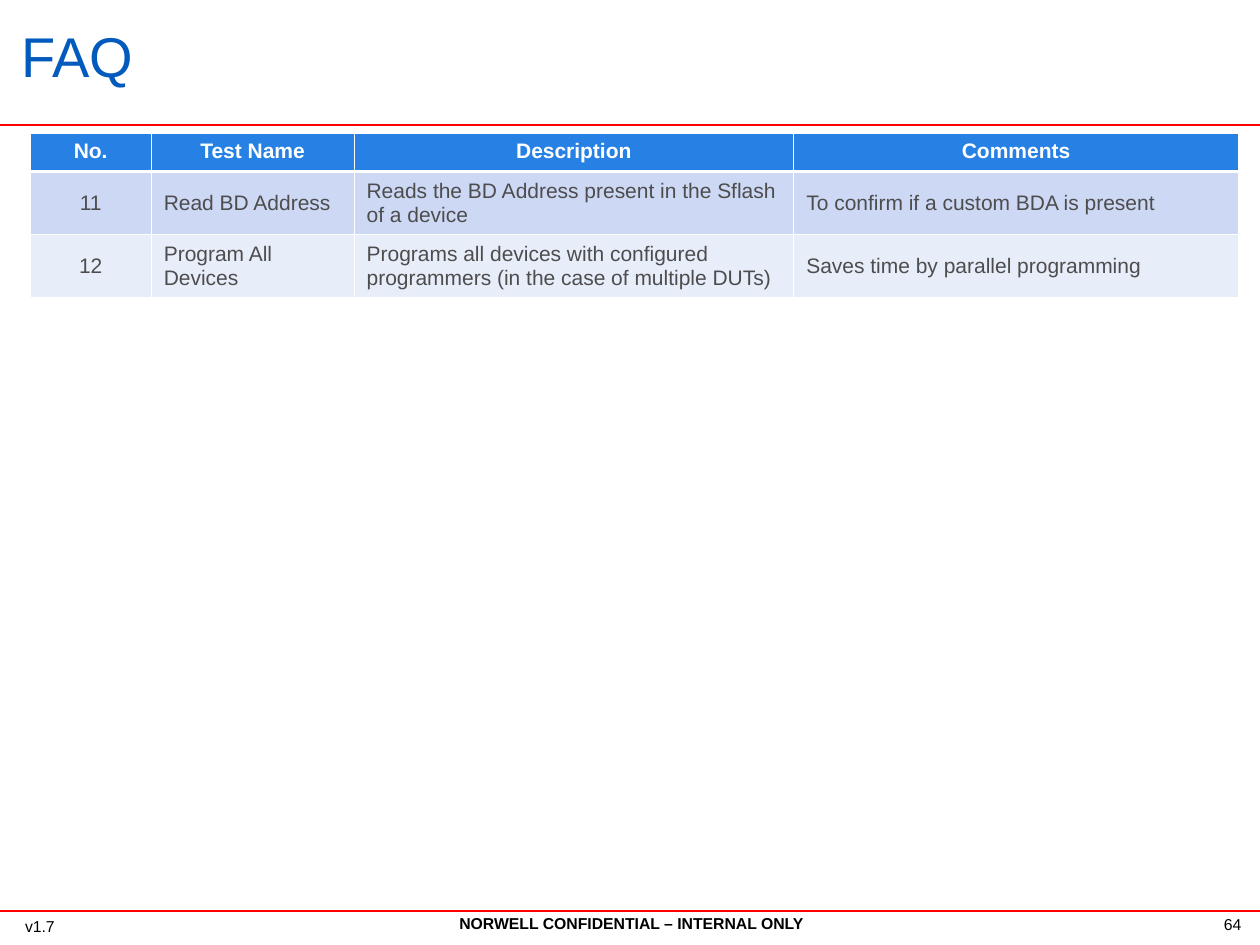
from dataclasses import dataclass
from typing import Any, NamedTuple

from lxml.etree import SubElement
from pptx import Presentation
from pptx.dml.color import RGBColor
from pptx.enum.shapes import MSO_CONNECTOR
from pptx.enum.text import MSO_ANCHOR, PP_ALIGN
from pptx.oxml.ns import qn
from pptx.util import Inches, Pt


@dataclass(frozen=True)
class Theme:
    font: str = "Arial"
    title: str = "025BBC"
    rule: str = "FF0000"
    ink: str = "000000"
    body: str = "4D4D4D"
    white: str = "FFFFFF"
    head: str = "2781E5"
    bands: tuple[str, ...] = ("CDD8F5", "E8EDFA")
    big: float = 32
    mid: float = 12
    small: float = 9
    line: float = 1.25
    thin: float = 0.45
    thick: float = 1.47


class Label(NamedTuple):
    text: str
    box: tuple[float, float, float, float]
    size: float
    color: str
    align: PP_ALIGN = PP_ALIGN.LEFT
    bold: bool = False
    anchor: MSO_ANCHOR = MSO_ANCHOR.TOP
    space: float = 1.0


class Column(NamedTuple):
    head: str
    width: float
    align: PP_ALIGN


THEME = Theme()
LABELS = [
    Label("FAQ", (0.07, 0.23, 8.51, 0.52), THEME.big, THEME.title,
          anchor=MSO_ANCHOR.MIDDLE, space=0.79),
    Label("NORWELL CONFIDENTIAL – INTERNAL ONLY", (2.45, 7.2, 5.12, 0.25),
          THEME.small, THEME.ink, PP_ALIGN.CENTER, True),
    Label("64", (9.16, 7.21, 0.79, 0.25), THEME.small, THEME.ink,
          PP_ALIGN.RIGHT),
    Label("v1.7", (0.1, 7.23, 0.79, 0.25), THEME.small, THEME.ink),
]
RULES = (0.99, 7.23)
COLUMNS = [
    Column("No.", 0.96, PP_ALIGN.CENTER),
    Column("Test Name", 1.61, PP_ALIGN.LEFT),
    Column("Description", 3.49, PP_ALIGN.LEFT),
    Column("Comments", 3.53, PP_ALIGN.LEFT),
]
TESTS = [
    ("11", "Read BD Address",
     "Reads the BD Address present in the Sflash of a device",
     "To confirm if a custom BDA is present"),
    ("12", "Program All Devices",
     "Programs all devices with configured programmers "
     "(in the case of multiple DUTs)",
     "Saves time by parallel programming"),
]
HEIGHTS = (0.3, 0.5, 0.5)


def apply(item: Any, style: dict[str, Any]) -> None:
    for name, value in style.items():
        setattr(item, name, value)


def write(frame: Any, label: Label) -> None:
    apply(frame, {"word_wrap": True, "vertical_anchor": label.anchor})
    para = frame.paragraphs[0]
    apply(para, {"alignment": label.align, "line_spacing": label.space})
    run = para.add_run()
    run.text = label.text
    apply(run.font, {"name": THEME.font, "size": Pt(label.size),
                     "bold": label.bold})
    run.font.color.rgb = RGBColor.from_string(label.color)


def add_label(slide: Any, label: Label) -> None:
    box = slide.shapes.add_textbox(*map(Inches, label.box))
    write(box.text_frame, label)


def add_rule(slide: Any, top: float) -> None:
    rule = slide.shapes.add_connector(
        MSO_CONNECTOR.STRAIGHT, Inches(0), Inches(top), Inches(10), Inches(top))
    rule.line.color.rgb = RGBColor.from_string(THEME.rule)
    rule.line.width = Pt(THEME.line)
    SubElement(rule._element.spPr, qn("a:effectLst"))


def add_edges(cell: Any, row: int) -> None:
    props = cell._tc.get_or_add_tcPr()
    heavy = {0: "lnB", 1: "lnT"}.get(row)
    for side in ("lnL", "lnR", "lnT", "lnB"):
        width = THEME.thick if side == heavy else THEME.thin
        edge = SubElement(props, qn(f"a:{side}"), w=str(Pt(width)))
        fill = SubElement(edge, qn("a:solidFill"))
        SubElement(fill, qn("a:srgbClr"), val=THEME.white)


def fill_cell(cell: Any, row: int, col: Column, text: str) -> None:
    head = row == 0
    add_edges(cell, row)
    cell.fill.solid()
    shade = THEME.head if head else THEME.bands[(row - 1) % 2]
    cell.fill.fore_color.rgb = RGBColor.from_string(shade)
    anchor = MSO_ANCHOR.TOP if head else MSO_ANCHOR.MIDDLE
    cell.vertical_anchor = anchor
    para = cell.text_frame.paragraphs[0]
    para.alignment = PP_ALIGN.CENTER if head else col.align
    run = para.add_run()
    run.text = text
    apply(run.font, {"name": THEME.font, "size": Pt(THEME.mid), "bold": head})
    color = THEME.white if head else THEME.body
    run.font.color.rgb = RGBColor.from_string(color)


def add_tests(slide: Any) -> None:
    rows = [tuple(col.head for col in COLUMNS), *TESTS]
    width = sum(col.width for col in COLUMNS)
    table = slide.shapes.add_table(
        len(rows), len(COLUMNS), Inches(0.24), Inches(1.06),
        Inches(width), Inches(sum(HEIGHTS))).table
    for part, col in zip(table.columns, COLUMNS):
        part.width = Inches(col.width)
    for row, (texts, height) in enumerate(zip(rows, HEIGHTS)):
        table.rows[row].height = Inches(height)
        for num, (col, text) in enumerate(zip(COLUMNS, texts)):
            fill_cell(table.cell(row, num), row, col, text)


def main() -> None:
    deck = Presentation()
    apply(deck, {"slide_width": Inches(10), "slide_height": Inches(7.5)})
    slide = deck.slides.add_slide(deck.slide_layouts[6])
    for top in RULES:
        add_rule(slide, top)
    for label in LABELS:
        add_label(slide, label)
    add_tests(slide)
    deck.save("out.pptx")


if __name__ == "__main__":
    main()
